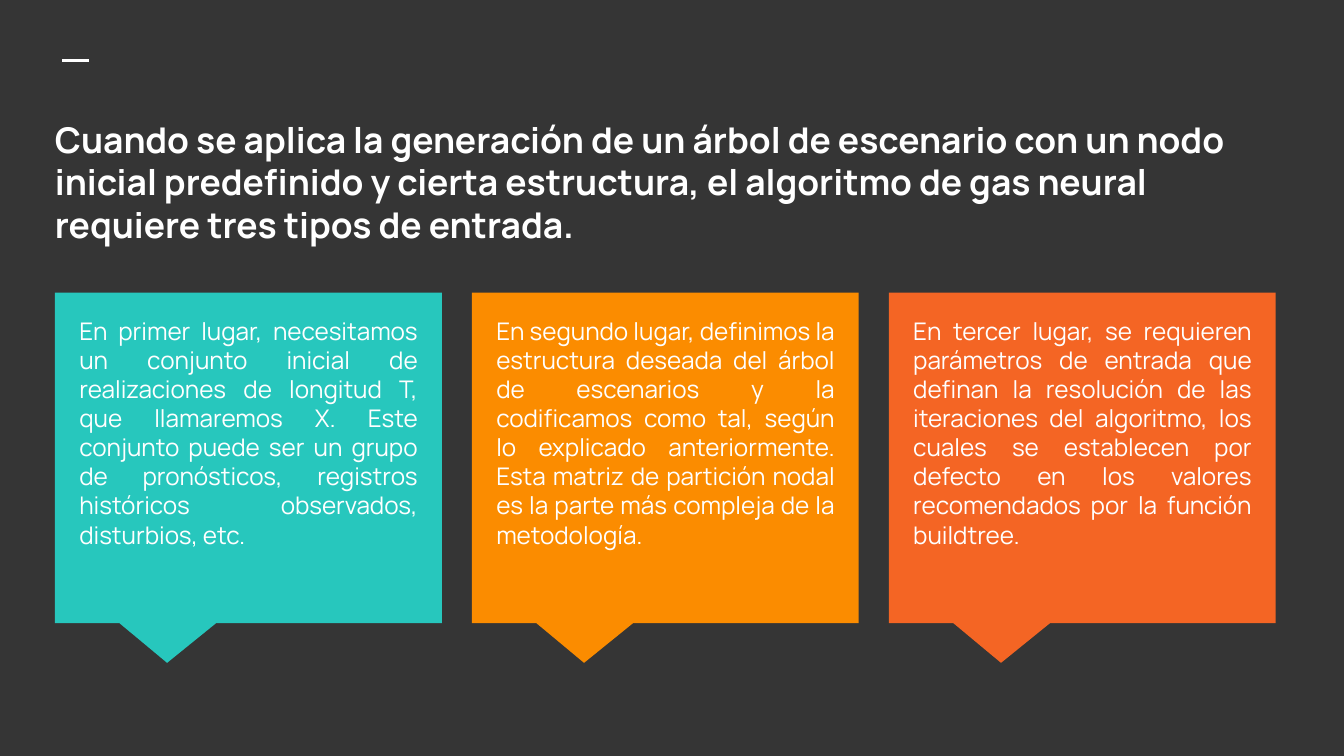
from dataclasses import dataclass

from lxml.etree import SubElement
from pptx import Presentation
from pptx.dml.color import RGBColor
from pptx.enum.shapes import MSO_CONNECTOR, MSO_SHAPE
from pptx.enum.text import MSO_ANCHOR, PP_ALIGN as Align
from pptx.oxml.ns import qn
from pptx.slide import Slide
from pptx.util import Cm, Pt

FONT = "Manrope"
WHITE = "FFFFFF"
BACKGROUND = "353535"

CARD_LEFT, CARD_TOP = 1.04, 5.53
CARD_WIDTH, CARD_HEIGHT = 7.31, 6.25
CARD_PITCH = 7.88
TEXT_INSET = 0.21
TEXT_TOP, TEXT_HEIGHT = 5.72, 5.56

TITLE = (
    "Cuando se aplica la generación de un árbol de escenario con un nodo "
    "inicial predefinido y cierta estructura, el algoritmo de gas neural "
    "requiere tres tipos de entrada."
)


@dataclass(frozen=True)
class Card:
    fill: str
    text: str


CARDS = [
    Card(
        "27C7BD",
        "En primer lugar, necesitamos un conjunto inicial de realizaciones de "
        "longitud T, que llamaremos X. Este conjunto puede ser un grupo de "
        "pronósticos, registros históricos observados, disturbios, etc.",
    ),
    Card(
        "FB8C00",
        "En segundo lugar, definimos la estructura deseada del árbol de "
        "escenarios y la codificamos como tal, según lo explicado "
        "anteriormente. Esta matriz de partición nodal es la parte más "
        "compleja de la metodología.",
    ),
    Card(
        "F46524",
        "En tercer lugar, se requieren parámetros de entrada que definan la "
        "resolución de las iteraciones del algoritmo, los cuales se establecen "
        "por defecto en los valores recomendados por la función buildtree.",
    ),
]


def color(value: str) -> RGBColor:
    return RGBColor.from_string(value)


def add_text(page: Slide, text: str, left: float, top: float, width: float,
             height: float, size: float, bold: bool = False,
             align: Align = Align.LEFT) -> None:
    box = page.shapes.add_textbox(Cm(left), Cm(top), Cm(width), Cm(height))
    frame = box.text_frame
    frame.word_wrap = True
    frame.vertical_anchor = MSO_ANCHOR.TOP
    frame.margin_left = frame.margin_right = Cm(0.25)
    frame.margin_top = frame.margin_bottom = Cm(0.25)
    para = frame.paragraphs[0]
    para.text = text
    para.alignment = align
    para.font.name = FONT
    para.font.size = Pt(size)
    para.font.bold = bold
    para.font.color.rgb = color(WHITE)


def add_card(page: Slide, card: Card, left: float) -> None:
    callout = page.shapes.add_shape(
        MSO_SHAPE.RECTANGULAR_CALLOUT,
        Cm(left), Cm(CARD_TOP), Cm(CARD_WIDTH), Cm(CARD_HEIGHT))
    callout.adjustments[0] = -0.21
    callout.adjustments[1] = 0.62
    callout.shadow.inherit = False
    callout.fill.solid()
    callout.fill.fore_color.rgb = color(card.fill)
    callout.line.fill.background()
    add_text(page, card.text, left + TEXT_INSET, TEXT_TOP,
             CARD_WIDTH - 2 * TEXT_INSET, TEXT_HEIGHT, 13,
             align=Align.JUSTIFY)


def add_accent(page: Slide) -> None:
    """Draw the short dash above the title."""
    dash = page.shapes.add_connector(
        MSO_CONNECTOR.STRAIGHT, Cm(1.18), Cm(1.15), Cm(1.69), Cm(1.15))
    dash.line.color.rgb = color(WHITE)
    dash.line.width = Pt(1.5)
    SubElement(dash._element.spPr, qn("a:effectLst"))


def main() -> None:
    deck = Presentation()
    deck.slide_width, deck.slide_height = Cm(25.4), Cm(14.29)
    page = deck.slides.add_slide(deck.slide_layouts[6])
    page.background.fill.solid()
    page.background.fill.fore_color.rgb = color(BACKGROUND)

    add_accent(page)
    add_text(page, TITLE, 0.79, 1.98, 23.95, 2.84, 19, bold=True)
    for index, card in enumerate(CARDS):
        add_card(page, card, CARD_LEFT + index * CARD_PITCH)
    deck.save("out.pptx")


if __name__ == "__main__":
    main()
